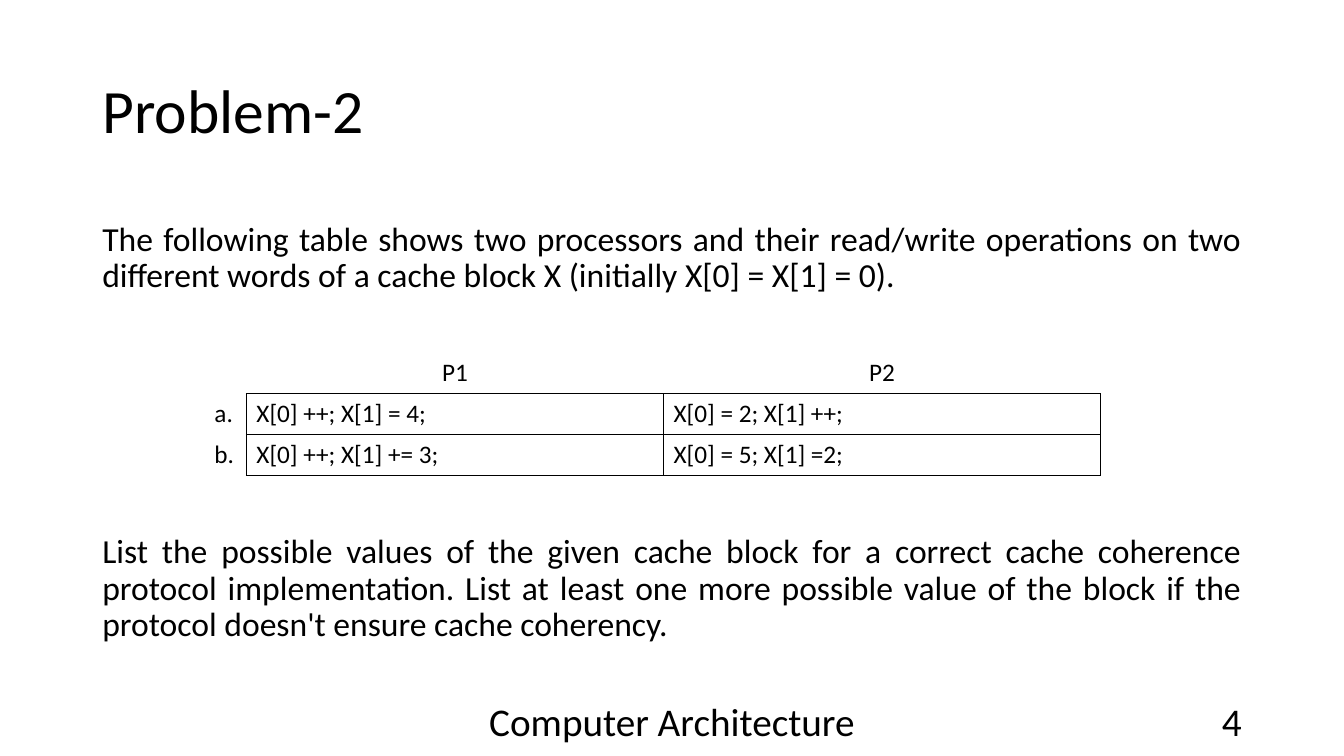
from lxml.etree import SubElement
from pptx import Presentation
from pptx.dml.color import RGBColor
from pptx.enum.text import MSO_ANCHOR as Anchor, PP_ALIGN as Align
from pptx.oxml.ns import qn
from pptx.util import Pt

FONT = "Calibri"
BLACK = "000000"
BODY_FORMAT = {"size": 24, "align": Align.JUSTIFY, "line_spacing": 0.9}


def color(hex_value):
    return RGBColor.from_string(hex_value)


def write(frame, text, size=18, align=Align.LEFT, anchor=Anchor.TOP, line_spacing=1.0):
    frame.word_wrap = True
    frame.vertical_anchor = anchor
    paragraph = frame.paragraphs[0]
    paragraph.alignment = align
    paragraph.line_spacing = line_spacing
    run = paragraph.add_run()
    run.text = text
    run.font.name = FONT
    run.font.size = Pt(size)
    run.font.color.rgb = color(BLACK)


def add_text(slide, box, text, **text_format):
    shape = slide.shapes.add_textbox(*map(Pt, box))
    write(shape.text_frame, text, **text_format)


def set_borders(cell, visible_sides):
    properties = cell._tc.get_or_add_tcPr()
    # Border lines come before the cell fill in the XML
    for index, side in enumerate("LRTB"):
        line = SubElement(properties, qn(f"a:ln{side}"), w=str(Pt(1)))
        if side in visible_sides:
            fill = SubElement(line, qn("a:solidFill"))
            SubElement(fill, qn("a:srgbClr"), val=BLACK)
        else:
            SubElement(line, qn("a:noFill"))
        properties.insert(index, line)


def add_operations_table(slide, box, column_widths, rows):
    table = slide.shapes.add_table(len(rows), len(rows[0]), *map(Pt, box)).table
    table.first_row = table.horz_banding = False
    for column, width in zip(table.columns, column_widths):
        column.width = Pt(width)
    for row_index, texts in enumerate(rows):
        table.rows[row_index].height = Pt(box[3] / len(rows))
        for column_index, text in enumerate(texts):
            cell = table.cell(row_index, column_index)
            cell.fill.background()
            # Outer labels only carry the edge shared with the grid
            if row_index == 0:
                sides = "B" if column_index else ""
            else:
                sides = "LRTB" if column_index else "R"
            set_borders(cell, sides)
            write(cell.text_frame, text, align=Align.LEFT if row_index else Align.CENTER)


def add_body(slide, box):
    left, top, width, height = box
    add_text(slide, (left, top, width, 70),
             "The following table shows two processors and their read/write operations "
             "on two different words of a cache block X (initially X[0] = X[1] = 0).",
             **BODY_FORMAT)
    add_operations_table(slide, (left + 80, top + 96.5, 640, 88), (30, 298, 312), [
        ("", "P1", "P2"),
        ("a.", "X[0] ++; X[1] = 4;", "X[0] = 2; X[1] ++;"),
        ("b.", "X[0] ++; X[1] += 3;", "X[0] = 5; X[1] =2;"),
    ])
    add_text(slide, (left, top + 223, width, height - 223),
             "List the possible values of the given cache block for a correct cache "
             "coherence protocol implementation. List at least one more possible value "
             "of the block if the protocol doesn't ensure cache coherency.",
             **BODY_FORMAT)


def add_footer(slide, box):
    left, top, width, height = box
    footer_format = {"size": 28, "anchor": Anchor.MIDDLE}
    add_text(slide, (left + (width - 324) / 2, top, 324, height),
             "Computer Architecture", align=Align.CENTER, **footer_format)
    add_text(slide, (left + width - 216, top, 216, height),
             "4", align=Align.RIGHT, **footer_format)


def main():
    presentation = Presentation()
    presentation.slide_width, presentation.slide_height = Pt(960), Pt(540)
    slide = presentation.slides.add_slide(presentation.slide_layouts[6])
    left, width = 66, 828
    # Title
    add_text(slide, (left, 28.75, width, 104.4), "Problem-2",
             size=44, anchor=Anchor.MIDDLE, line_spacing=0.9)
    # Body and footer
    add_body(slide, (left, 155.5, width, 332))
    add_footer(slide, (left, 500.5, width, 28.75))
    presentation.save("out.pptx")


if __name__ == "__main__":
    main()
